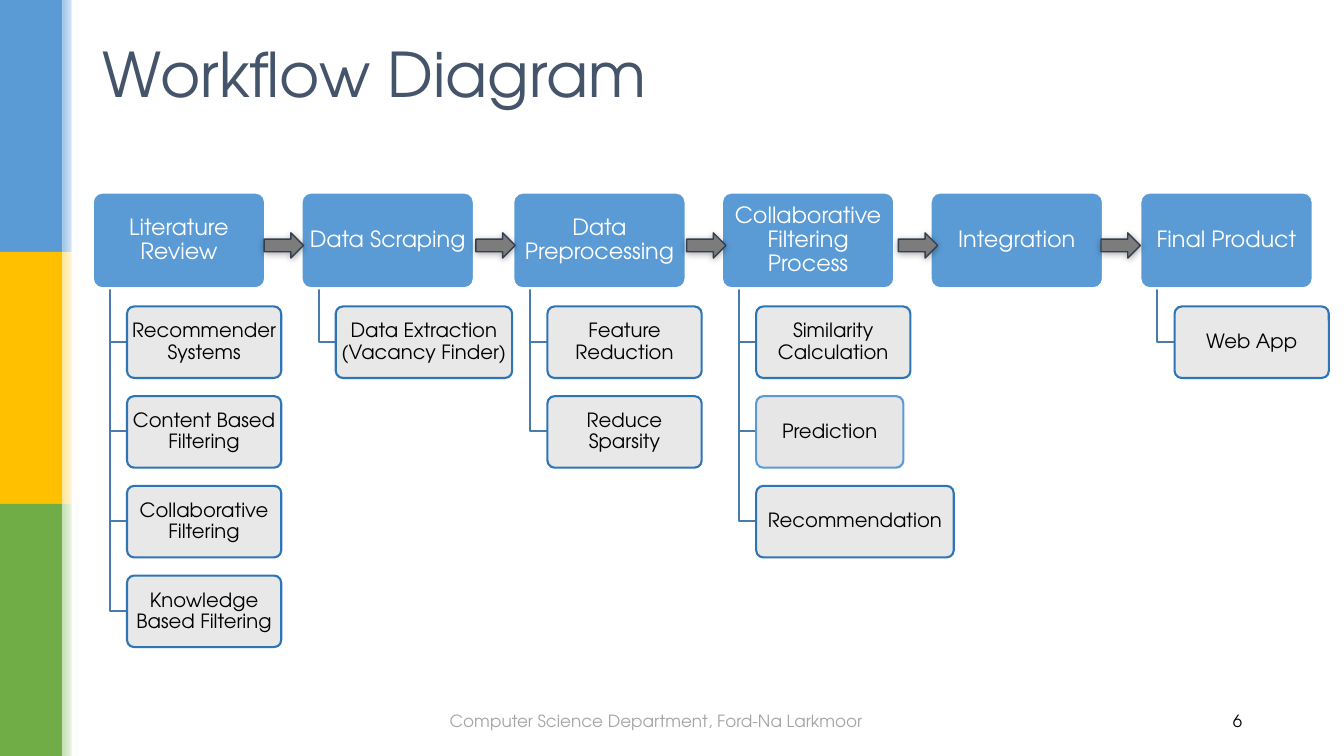
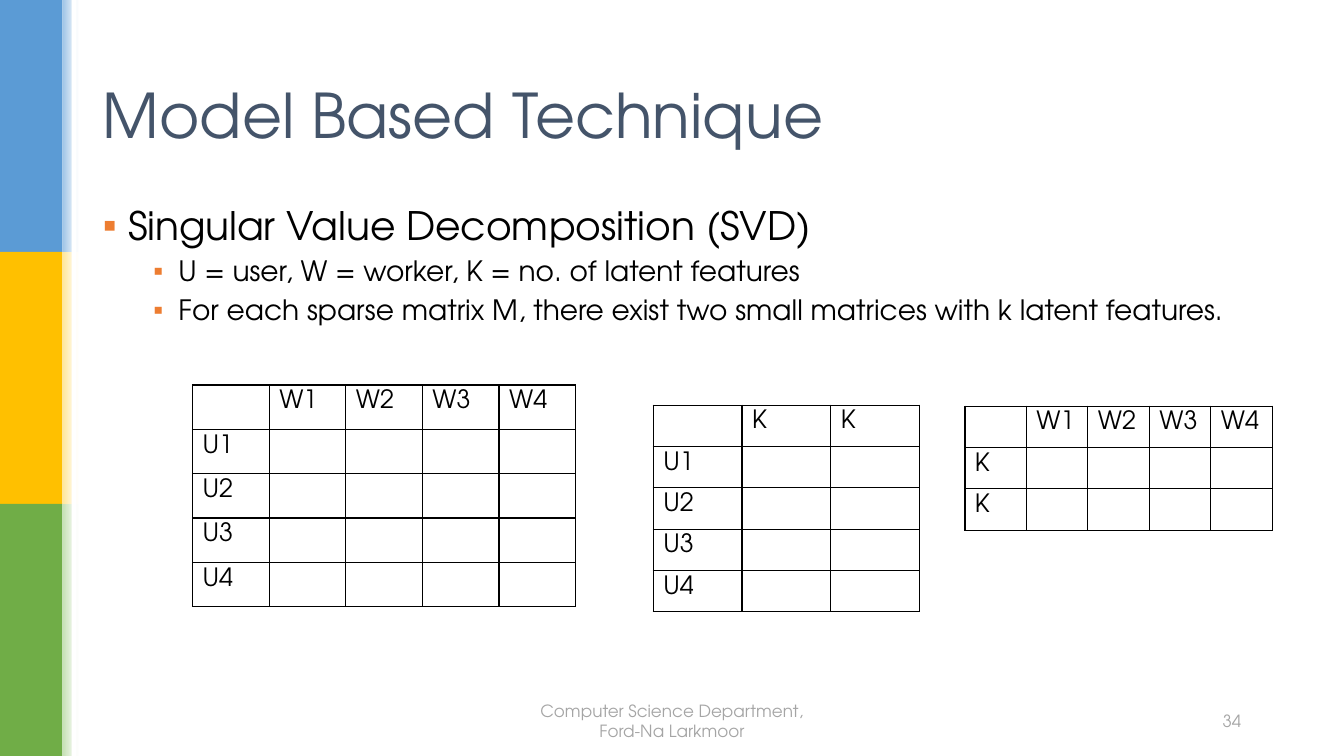
from lxml import etree
from pptx import Presentation
from pptx import util as u
from pptx.dml.color import RGBColor
from pptx.enum import shapes, text
from pptx.oxml import ns

PX = 9144  # 100 px to the inch
SIDES = ("left", "top", "width", "height")
RECT, ROUND, ARROW = (shapes.MSO_SHAPE.RECTANGLE, shapes.MSO_SHAPE.ROUNDED_RECTANGLE,
                      shapes.MSO_SHAPE.RIGHT_ARROW)
LEFT, MID, RIGHT = text.PP_ALIGN.LEFT, text.PP_ALIGN.CENTER, text.PP_ALIGN.RIGHT


class Theme:
    font = "TeX Gyre Adventor"
    blue, gold, green = "5B9BD5", "FFC000", "70AD47"
    tints = ("9DC3E6", "FFE699", "C5E0B4")
    white, black, gray, slate = "FFFFFF", "000000", "A5A5A5", "44546A"
    pale, edge, link, bullet = "E7E6E6", "2E75B6", "497CAB", "ED7D31"
    arrow, rim = "7C7C7C", "333F50"
    title, head, item, foot, cell = 44, 16, 14, 12, 18
    levels = (28, 20)


def paint(shape, fill=None, line=None, width=1.5):
    shape.shadow.inherit = False
    if fill:
        shape.fill.solid()
        shape.fill.fore_color.rgb = RGBColor.from_string(fill)
    else:
        shape.fill.background()
    if line:
        shape.line.color.rgb = RGBColor.from_string(line)
        shape.line.width = u.Pt(width)
    else:
        shape.line.fill.background()


def write(frame, words, size, color, align=LEFT, **form):
    """Set the words and their font; form holds attributes of the text frame."""
    frame.text = words
    for name, value in form.items():
        setattr(frame, name, value)
    for para in frame.paragraphs:
        para.alignment = align
        para.font.name = Theme.font
        para.font.size = u.Pt(size)
        para.font.color.rgb = RGBColor.from_string(color)


prs = Presentation()
prs.slide_width, prs.slide_height = 1333 * PX, 750 * PX
flow = prs.slides.add_slide(prs.slide_layouts[5])
model = prs.slides.add_slide(prs.slide_layouts[1])

# Colour bands, drawn once and moved to the master
bands = []
for row, (color, tint) in enumerate(zip((Theme.blue, Theme.gold, Theme.green), Theme.tints)):
    for x, w, fill in ((0, 62, color), (62, 16, tint)):
        band = flow.shapes.add_shape(RECT, x * PX, row * 250 * PX, w * PX, 250 * PX)
        paint(band, fill)
        bands.append(band)
    band.fill.gradient()
    band.fill.gradient_angle = 0
    for stop, shade in zip(band.fill.gradient_stops, (tint, Theme.white)):
        stop.color.rgb = RGBColor.from_string(shade)
strip = flow.shapes.add_shape(RECT, 71 * PX, 0, 5 * PX, 750 * PX)
paint(strip, Theme.white)
for i, band in enumerate(bands + [strip]):
    band.element.nvSpPr.cNvPr.id = 100 + i
    prs.slide_master.shapes.element.insert(2 + i, band.element)

# Titles, footers and page numbers
FOOTER = "Computer Science Department, Ford-Na Larkmoor"
frames = (
    (flow, "Workflow Diagram", 0, (436, 461, LEFT), ("6", 942, 300, Theme.black)),
    (model, "Model Based Technique", 40, (508, 317, MID), ("34", 883, 358, Theme.gray)),
)
for slide, name, top, (x, w, align), (page, start, span, color) in frames:
    title = slide.shapes.title
    for side, n in zip(SIDES, (92, top, 1150, 145)):
        setattr(title, side, n * PX)
    form = dict(word_wrap=True, auto_size=text.MSO_AUTO_SIZE.NONE,
                vertical_anchor=text.MSO_ANCHOR.MIDDLE)
    write(title.text_frame, name, Theme.title, Theme.slate, **form)
    for words, left, wide, shade, side in ((FOOTER, x, w, Theme.gray, align),
                                           (page, start, span, color, RIGHT)):
        box = slide.shapes.add_textbox(left * PX, 695 * PX, wide * PX, 40 * PX)
        write(box.text_frame, words, Theme.foot, shade, side, **form)

# Workflow: a head for each step, its items hanging below
steps = (
    (92, "Literature Review", (("Recommender Systems", 153), ("Content Based Filtering", 153),
                               ("Collaborative Filtering", 153),
                               ("Knowledge Based Filtering", 153))),
    (299, "Data Scraping", (("Data Extraction (Vacancy Finder)", 175),)),
    (509, "Data Preprocessing", (("Feature Reduction", 153), ("Reduce Sparsity", 153))),
    (716, "Collaborative Filtering Process", (("Similarity Calculation", 153),
                                              ("Prediction", 146), ("Recommendation", 196))),
    (923, "Integration", ()),
    (1131, "Final Product", (("Web App", 153),)),
)
inner = dict(word_wrap=True, vertical_anchor=text.MSO_ANCHOR.MIDDLE, margin_left=PX,
             margin_right=PX, margin_top=2 * PX, margin_bottom=2 * PX)
for x, name, items in steps:
    boxes = [(name, (x, 191, 171, 95), Theme.blue, Theme.white, Theme.head, Theme.white)]
    for i, (item, w) in enumerate(items):
        y = 304 + 89 * i
        build = flow.shapes.build_freeform(x + 17, 286, scale=PX)
        build.add_line_segments([(x + 17, y + 35), (x + 34, y + 35)], close=False)
        paint(build.convert_to_shape(), line=Theme.link)
        edge = Theme.blue if item == "Prediction" else Theme.edge
        boxes.append((item, (x + 34, y, w, 71), Theme.pale, edge, Theme.item, Theme.black))
    for words, place, fill, edge, size, color in boxes:
        box = flow.shapes.add_shape(ROUND, *[n * PX for n in place])
        box.adjustments[0] = 0.1
        paint(box, fill, edge)
        write(box.text_frame, words, size, color, MID, **inner)
        box.text_frame.paragraphs[0].line_spacing = 0.9
        if edge == Theme.edge:
            tone = box.element.spPr.find(ns.qn("a:solidFill"))[0]
            etree.SubElement(tone, ns.qn("a:alpha"), val="90000")

for x in (262, 472, 681, 891, 1092):
    arrow = flow.shapes.add_shape(ARROW, x * PX, 231 * PX, 39 * PX, 25 * PX)
    paint(arrow, Theme.arrow, Theme.rim, 1)
    glow = etree.SubElement(arrow.element.spPr.find(ns.qn("a:effectLst")),
                            ns.qn("a:outerShdw"), blurRad="63500", dist="12700", dir="5400000")
    tone = etree.SubElement(glow, ns.qn("a:srgbClr"), val=Theme.black)
    etree.SubElement(tone, ns.qn("a:alpha"), val="32000")

# Model: list
body = model.placeholders[1]
for side, n in zip(SIDES, (92, 200, 1150, 476)):
    setattr(body, side, n * PX)
points = ("Singular Value Decomposition (SVD)",
          "U = user, W = worker, K = no. of latent features",
          "For each sparse matrix M, there exist two small matrices with k latent features.")
write(body.text_frame, "\n".join(points), Theme.levels[0], Theme.black,
      auto_size=text.MSO_AUTO_SIZE.NONE)
for para, level in zip(body.text_frame.paragraphs, (0, 1, 1)):
    size = Theme.levels[level]
    form = dict(level=level, line_spacing=0.9, space_before=u.Pt(round(size * 0.3)))
    for name, value in form.items():
        setattr(para, name, value)
    para.font.size = u.Pt(size)
    props = para._p.get_or_add_pPr()
    props.set("marL", str((25 + 50 * level) * PX))
    props.set("indent", str(-25 * PX))
    mark = etree.Element(ns.qn("a:buClr"))
    etree.SubElement(mark, ns.qn("a:srgbClr"), val=Theme.bullet)
    sign = etree.Element(ns.qn("a:buChar"), char="▪")
    spot = props.index(props.find(ns.qn("a:defRPr")))
    props[spot:spot] = [mark, sign]

# Model: the matrix and its two factors
users = ("U1", "U2", "U3", "U4")
works = ("W1", "W2", "W3", "W4")
grids = (
    (191, 382, 76, 44, users, works),
    (957, 403, 61, 41, ("K", "K"), works),
    (648, 402, 88, 41, users, ("K", "K")),
)
for x, y, w, h, rows, cols in grids:
    down, across = len(rows) + 1, len(cols) + 1
    grid = model.shapes.add_table(down, across, x * PX, y * PX,
                                  across * w * PX, down * h * PX).table
    grid.first_row = grid.horz_banding = False
    for col in grid.columns:
        col.width = w * PX
    for row in grid.rows:
        row.height = h * PX
    for i, name in enumerate(cols, 1):
        write(grid.cell(0, i).text_frame, name, Theme.cell, Theme.black)
    for i, name in enumerate(rows, 1):
        write(grid.cell(i, 0).text_frame, name, Theme.cell, Theme.black)
    for cell in grid.iter_cells():
        cell.fill.background()
        props = cell._tc.get_or_add_tcPr()
        for i, side in enumerate("LRTB"):
            line = etree.Element(ns.qn("a:ln" + side), w="12700")
            fill = etree.SubElement(line, ns.qn("a:solidFill"))
            etree.SubElement(fill, ns.qn("a:srgbClr"), val=Theme.black)
            props.insert(i, line)

prs.save("out.pptx")
